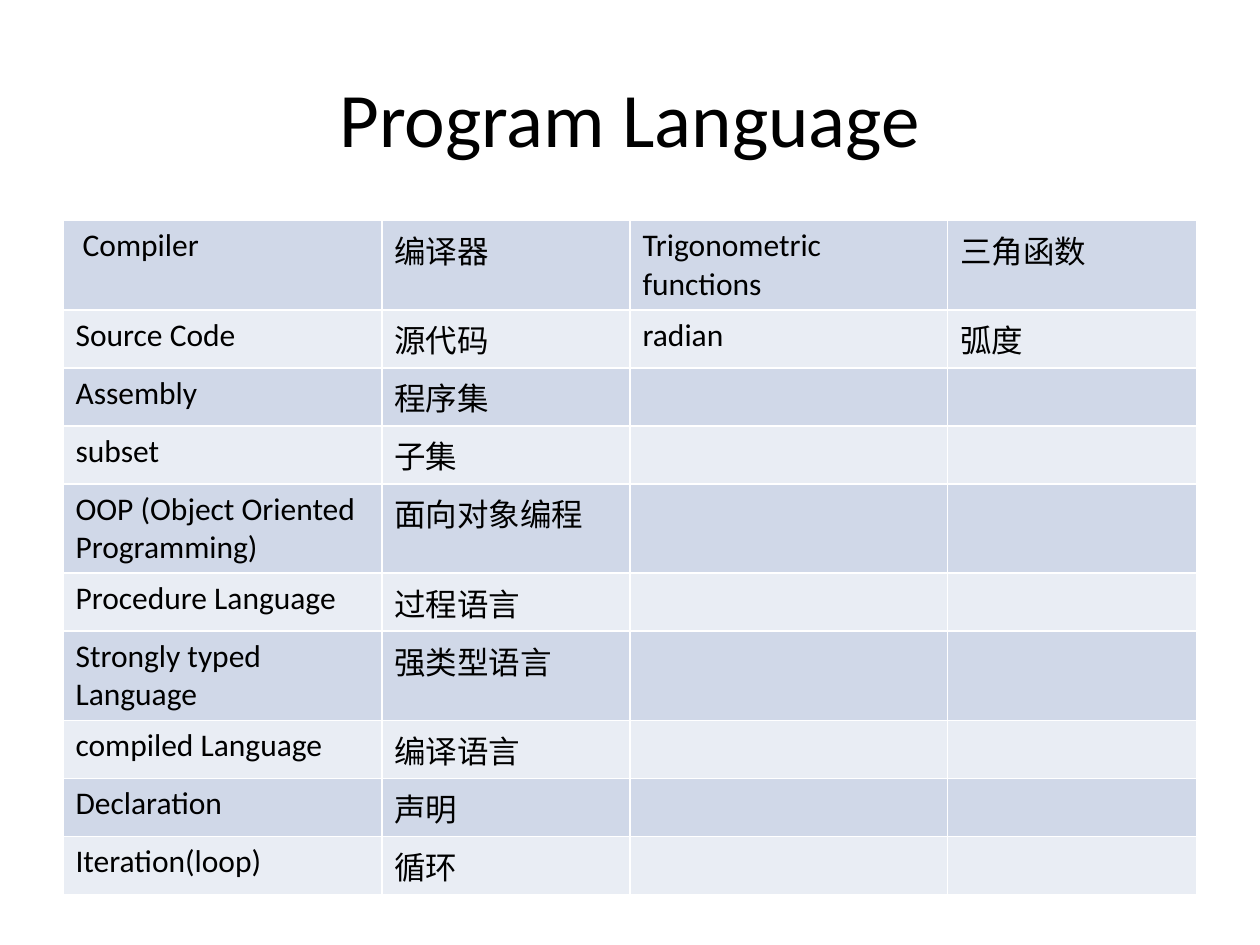
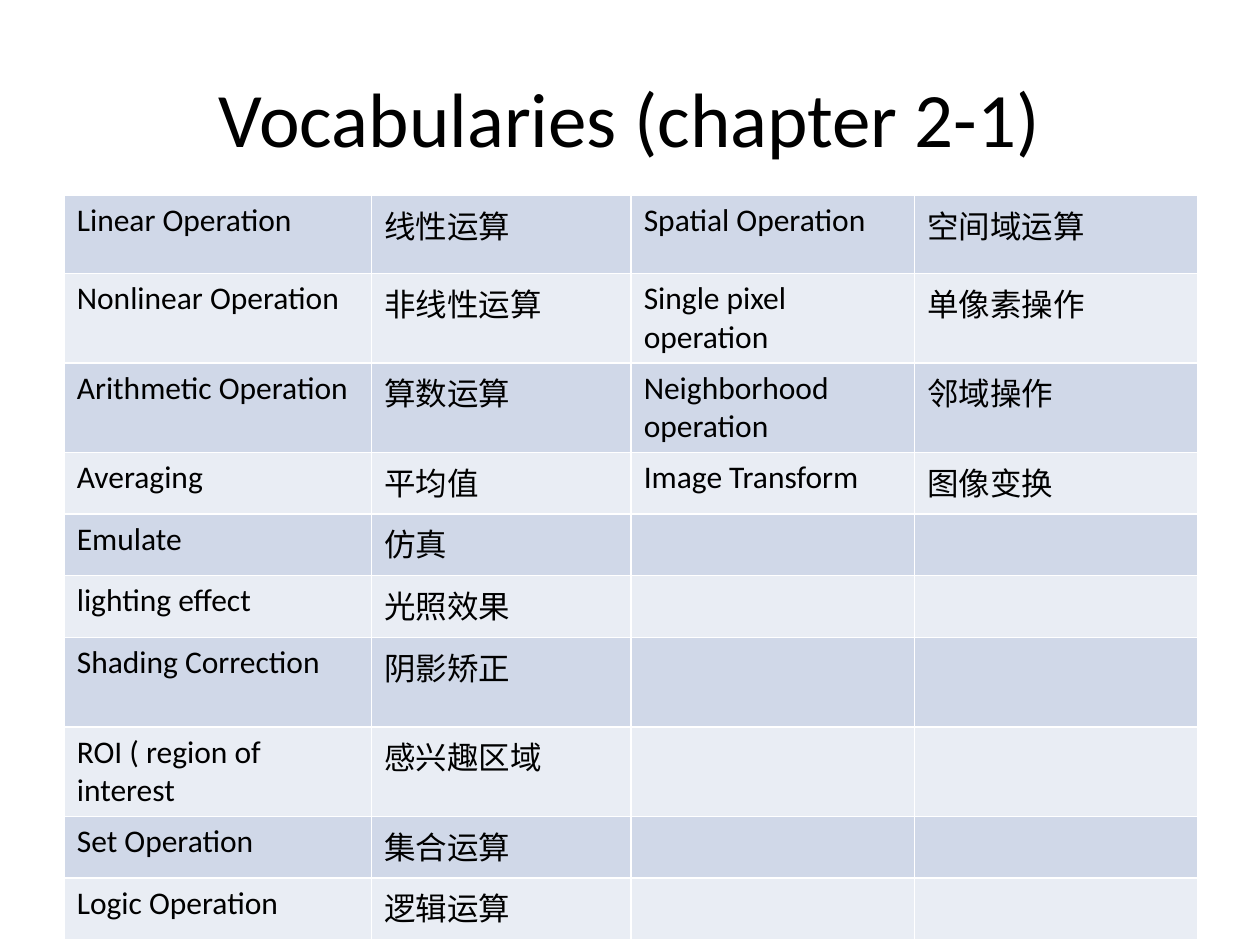
"""Build two bilingual vocabulary slides, each a title above a banded table."""
import lxml.etree
import pptx
import pptx.dml.color
import pptx.enum.text
import pptx.oxml.ns
import pptx.util

Inches = pptx.util.Inches
Pt = pptx.util.Pt

BLACK = pptx.dml.color.RGBColor(0x00, 0x00, 0x00)
WHITE = pptx.dml.color.RGBColor(0xFF, 0xFF, 0xFF)
BANDS = (pptx.dml.color.RGBColor(0xD0, 0xD8, 0xE8),
         pptx.dml.color.RGBColor(0xE9, 0xED, 0xF4))
FONT = "Calibri"
TITLE_SIZE = 44
CELL_SIZE = 18
TALL_ROW = 0.71  # room for two lines of text

LANGUAGE_TERMS = [
    (" Compiler", "编译器", "Trigonometric functions", "三角函数"),
    ("Source Code", "源代码", "radian", "弧度"),
    ("Assembly", "程序集"),
    ("subset", "子集"),
    ("OOP (Object Oriented Programming)", "面向对象编程"),
    ("Procedure Language", "过程语言"),
    ("Strongly typed Language", "强类型语言"),
    ("compiled Language", "编译语言"),
    ("Declaration", "声明"),
    ("Iteration(loop)", "循环"),
]
CHAPTER_TERMS = [
    ("Linear Operation", "线性运算", "Spatial Operation", "空间域运算"),
    ("Nonlinear Operation", "非线性运算", "Single pixel operation", "单像素操作"),
    ("Arithmetic Operation", "算数运算", "Neighborhood operation", "邻域操作"),
    ("Averaging", "平均值", "Image Transform", "图像变换"),
    ("Emulate", "仿真"),
    ("lighting effect", "光照效果"),
    ("Shading Correction", "阴影矫正"),
    ("ROI ( region of interest", "感兴趣区域"),
    ("Set Operation", "集合运算"),
    ("Logic Operation", "逻辑运算"),
]


def add_run(p, text, size):
    """Add one run of black text to a paragraph."""
    r = p.add_run()
    r.text = text
    r.font.size = Pt(size)
    r.font.name = FONT
    r.font.color.rgb = BLACK


def add_title(s, text):
    """Add the centred slide title."""
    sp = s.shapes.add_textbox(Inches(0.5), Inches(0.3), Inches(9), Inches(1.25))
    tf = sp.text_frame
    tf.word_wrap = True
    tf.vertical_anchor = pptx.enum.text.MSO_ANCHOR.MIDDLE
    p = tf.paragraphs[0]
    p.alignment = pptx.enum.text.PP_ALIGN.CENTER
    add_run(p, text, TITLE_SIZE)


def set_borders(cell):
    """Give all four sides of a cell a thin white line."""
    qn = pptx.oxml.ns.qn
    tc_pr = cell._tc.get_or_add_tcPr()
    for side in ("a:lnL", "a:lnR", "a:lnT", "a:lnB"):
        ln = lxml.etree.SubElement(tc_pr, qn(side), w=str(Pt(1)))
        fill = lxml.etree.SubElement(ln, qn("a:solidFill"))
        lxml.etree.SubElement(fill, qn("a:srgbClr"), val=str(WHITE))


def add_term_table(s, left, top, col_widths, row_heights, terms):
    """Add a banded table of terms; short rows leave their last cells empty."""
    frame = s.shapes.add_table(len(terms), len(col_widths), Inches(left), Inches(top),
                               Inches(sum(col_widths)), Inches(sum(row_heights)))
    table = frame.table
    table.first_row = False
    for column, width in zip(table.columns, col_widths):
        column.width = Inches(width)
    for i, (row, height) in enumerate(zip(table.rows, row_heights)):
        row.height = Inches(height)
        for j, cell in enumerate(row.cells):
            set_borders(cell)
            cell.fill.solid()
            cell.fill.fore_color.rgb = BANDS[i % 2]
            p = cell.text_frame.paragraphs[0]
            if j < len(terms[i]):
                add_run(p, terms[i][j], CELL_SIZE)
            else:
                p.font.size = Pt(CELL_SIZE)


def add_term_slide(prs, title, *table_args):
    """Add a slide with a title and a table of terms."""
    s = prs.slides.add_slide(prs.slide_layouts[6])
    add_title(s, title)
    add_term_table(s, *table_args)


def main():
    """Build and save the presentation."""
    prs = pptx.Presentation()
    prs.slide_width = Inches(10)
    prs.slide_height = Inches(7.5)

    language_heights = [TALL_ROW if i in (0, 4, 6) else 0.46 for i in range(10)]
    add_term_slide(prs, "Program Language", 0.5, 1.75,
                   [2.53, 1.97, 2.52, 1.98], language_heights, LANGUAGE_TERMS)

    chapter_heights = [0.62] + [TALL_ROW if i in (1, 2, 6, 7) else 0.49
                                for i in range(1, 10)]
    add_term_slide(prs, "Vocabularies (chapter 2-1)", 0.51, 1.55,
                   [2.44, 2.06, 2.25, 2.25], chapter_heights, CHAPTER_TERMS)

    prs.save("out.pptx")


main()
